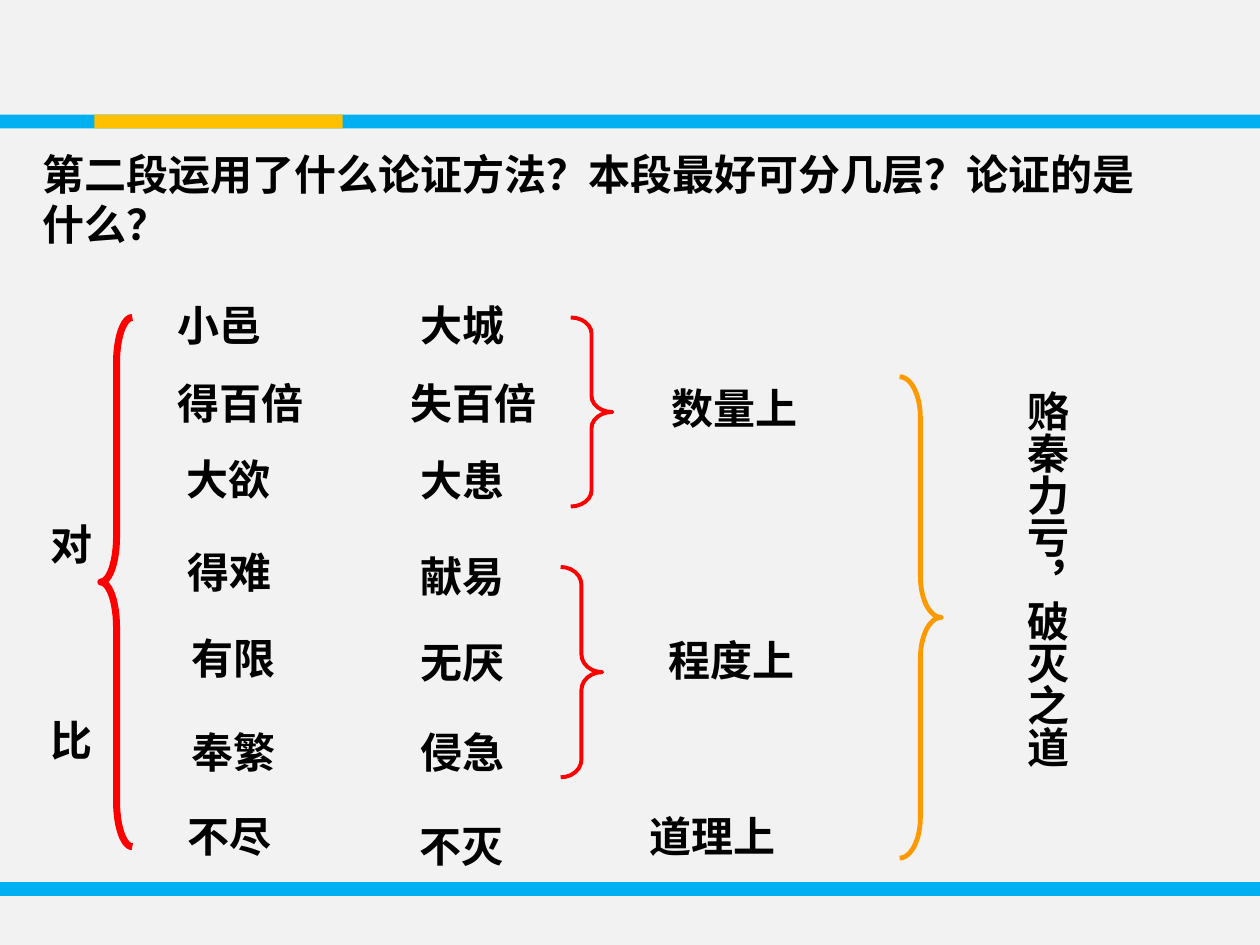
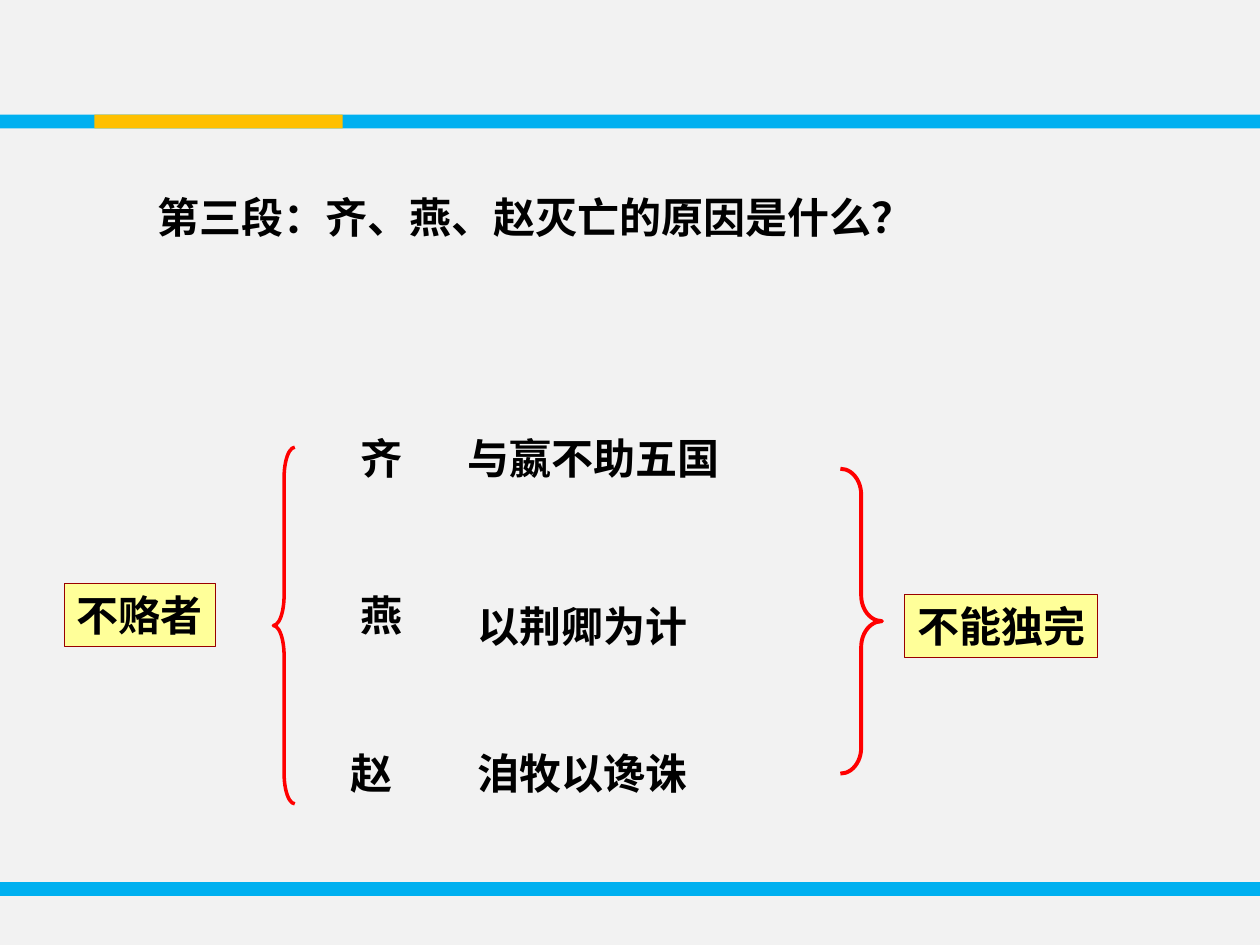
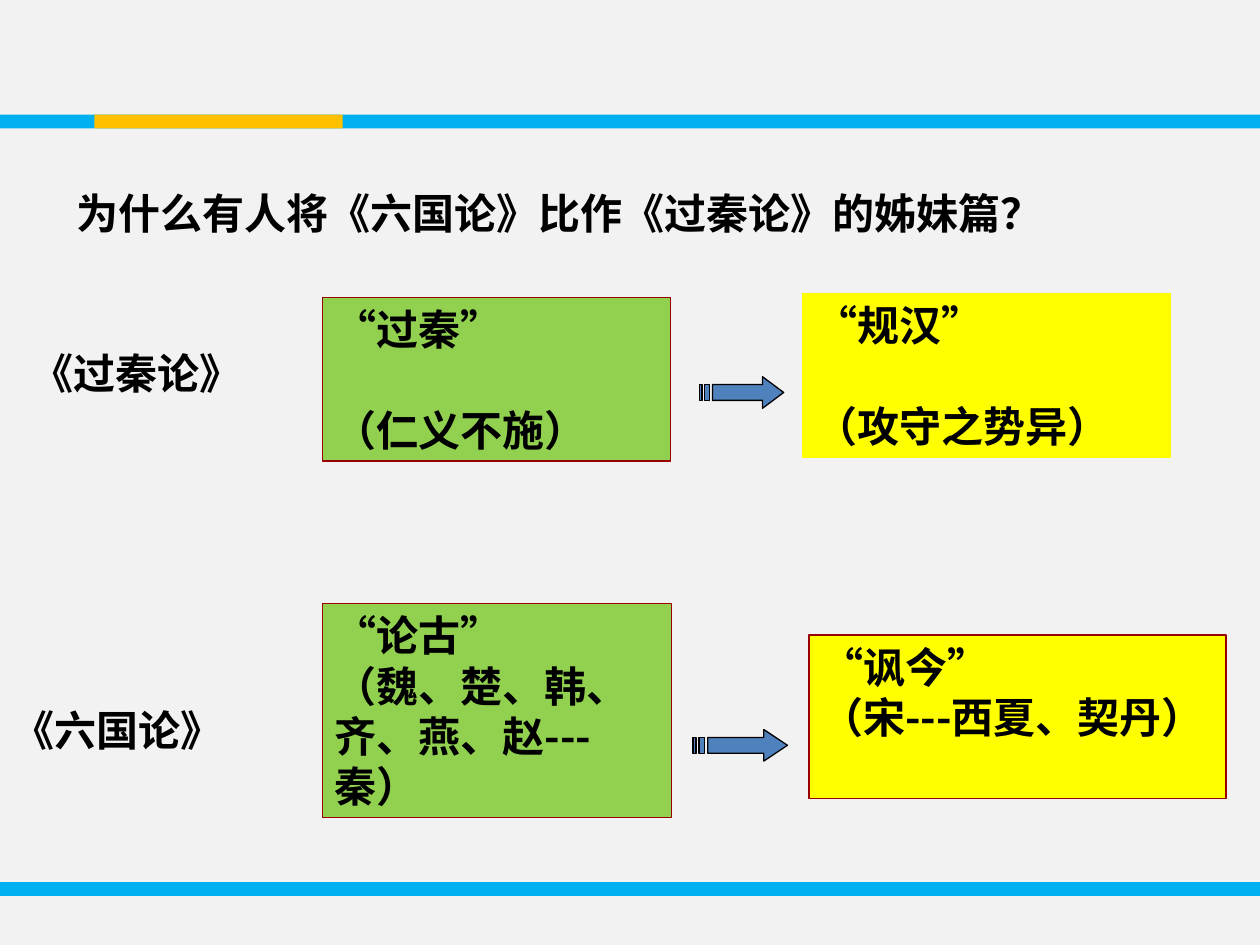
from pptx import Presentation
from pptx.dml.color import RGBColor
from pptx.enum.shapes import MSO_SHAPE
from pptx.oxml.ns import qn
from pptx.util import Inches, Pt

WIDTH, HEIGHT = 10, 7.5
FONT, SIZE = "Noto Sans CJK SC", 24
EM = SIZE / 72
LINE = 0.5
INK, PAPER, SKY, GOLD = "000000", "F2F2F2", "00B0F0", "FFC000"
RED, ORANGE, MAROON = "FF0000", "FF9900", "990000"
CREAM, GREEN, YELLOW, BLUE = "FFFF99", "92D050", "FFFF00", "4F81BD"
LEFT, RIGHT = MSO_SHAPE.LEFT_BRACE, MSO_SHAPE.RIGHT_BRACE

BANDS = [(0, 7, WIDTH, SKY), (0, 0.91, WIDTH, SKY), (0.75, 0.91, 1.97, GOLD)]
BAND_HEIGHT = 0.11

CONTRAST_QUESTION = "第二段运用了什么论证方法？本段最好可分几层？论证的是什么？"
CONTRAST_LABELS = [
    (0.3, 4.07, "对"), (0.3, 5.62, "比"),
    (1.31, 2.33, "小邑"), (3.24, 2.33, "大城"),
    (1.31, 2.95, "得百倍"), (3.16, 2.95, "失百倍"),
    (1.38, 3.55, "大欲"), (3.24, 3.56, "大患"),
    (1.39, 4.29, "得难"), (3.24, 4.32, "献易"),
    (1.42, 4.97, "有限"), (3.24, 5, "无厌"),
    (1.42, 5.72, "奉繁"), (3.24, 5.72, "侵急"),
    (1.39, 6.38, "不尽"), (3.23, 6.46, "不灭"),
    (5.23, 2.99, "数量上"), (5.21, 4.99, "程度上"), (5.06, 6.38, "道理上"),
]
CONTRAST_BRACES = [
    (LEFT, 0.8, 2.52, 0.25, 4.2, RED, 4),
    (RIGHT, 4.53, 2.52, 0.33, 1.5, RED, 2.25),
    (RIGHT, 4.45, 4.5, 0.33, 1.67, RED, 2.25),
    (RIGHT, 7.14, 2.99, 0.33, 3.82, ORANGE, 2.75),
]
CONCLUSION = "赂秦力亏，破灭之道"

STATE_LABELS = [
    (1.15, 1.47, "第三段：齐、燕、赵灭亡的原因是什么？"),
    (2.76, 3.38, "齐"), (3.61, 3.38, "与嬴不助五国"),
    (2.76, 4.63, "燕"), (3.69, 4.72, "以荆卿为计"),
    (2.68, 5.88, "赵"), (3.69, 5.88, "洎牧以谗诛"),
]
STATE_TAGS = [(0.51, 4.63, "不赂者"), (7.18, 4.72, "不能独完")]
STATE_BRACES = [
    (LEFT, 2.17, 3.55, 0.17, 2.83, RED, 2),
    (RIGHT, 6.67, 3.72, 0.33, 2.42, RED, 2.25),
]

ESSAY_LABELS = [
    (0.51, 1.44, "为什么有人将《六国论》比作《过秦论》的姊妹篇？"),
    (0.15, 2.71, "《过秦论》"), (0, 5.54, "《六国论》"),
]
ESSAY_BOXES = [
    (2.56, 2.36, 2.76, 1.3, GREEN, MAROON, ["“过秦”", "（仁义不施）"], 1),
    (6.37, 2.33, 2.92, 1.3, YELLOW, YELLOW, ["“规汉”", "（攻守之势异）"], 1),
    (2.56, 4.79, 2.77, 1.7, GREEN, MAROON, ["“论古”", "（魏、楚、韩、 齐、燕、赵---秦）"], 0),
    (6.42, 5.04, 3.31, 1.3, YELLOW, MAROON, ["“讽今”", "（宋---西夏、契丹）"], 0),
]
ARROWS = [(5.55, 2.99, 0.67, 0.25), (5.5, 5.79, 0.75, 0.25)]
ARROW_OUTLINES = [
    [(24, 0), (24, 8), (5, 8), (5, 24), (24, 24), (24, 32), (32, 16)],
    [(2, 8), (2, 24), (4, 24), (4, 8)],
    [(0, 8), (0, 24), (1, 24), (1, 8)],
]
ARROW_UNITS = 32


def color(value):
    return RGBColor.from_string(value)


def paint(sp, fill=None, line=None, weight=0.75):
    sp.shadow.inherit = False
    if fill:
        sp.fill.solid()
        sp.fill.fore_color.rgb = color(fill)
    else:
        sp.fill.background()
    if line:
        sp.line.color.rgb = color(line)
        sp.line.width = Pt(weight)
    else:
        sp.line.fill.background()


def add_preset(s, kind, x, y, w, h, **style):
    sp = s.shapes.add_shape(kind, Inches(x), Inches(y), Inches(w), Inches(h))
    paint(sp, **style)
    return sp


def write(sp, lines, wrap=True, gap=0):
    tf = sp.text_frame
    tf.word_wrap = wrap
    tf._txBody.bodyPr.set("anchor", "t")
    for i, line in enumerate(lines):
        p = tf.paragraphs[0] if i == 0 else tf.add_paragraph()
        p._p.get_or_add_pPr().set("algn", "l")
        if i:
            p.space_before = Pt(gap)
        r = p.add_run()
        r.text = line
        r.font.name = FONT
        r.font.size = Pt(SIZE)
        r.font.bold = True
        r.font.color.rgb = color(INK)
        ea = r._r.get_or_add_rPr().makeelement(qn("a:ea"), {"typeface": FONT})
        r._r.rPr.find(qn("a:latin")).addnext(ea)


def add_text(s, x, y, w, h, text, wrap=False):
    sp = s.shapes.add_textbox(Inches(x), Inches(y), Inches(w), Inches(h))
    write(sp, [text], wrap)
    return sp


def text_width(text):
    return len(text) * EM + 0.2


def add_labels(s, labels):
    for x, y, text in labels:
        add_text(s, x, y, text_width(text), LINE, text)


def add_braces(s, braces):
    for kind, x, y, w, h, line, weight in braces:
        sp = add_preset(s, kind, x, y, w, h, line=line, weight=weight)
        sp.adjustments[0] = 0.085 * h / w


def add_striped_arrow(s, x, y, w, h):
    first, *others = ARROW_OUTLINES
    scale = (Inches(w) / ARROW_UNITS, Inches(h) / ARROW_UNITS)
    fb = s.shapes.build_freeform(*first[0], scale=scale)
    fb.add_line_segments(first[1:], close=True)
    for outline in others:
        fb.move_to(*outline[0])
        fb.add_line_segments(outline[1:], close=True)
    paint(fb.convert_to_shape(Inches(x), Inches(y)), BLUE, INK)


def add_slide(prs):
    s = prs.slides.add_slide(prs.slide_layouts[6])
    for x, y, w, fill in BANDS:
        add_preset(s, MSO_SHAPE.RECTANGLE, x, y, w, BAND_HEIGHT, fill=fill)
    return s


def build_contrast(prs):
    s = add_slide(prs)
    add_text(s, 0.24, 1.13, 8.9, 0.9, CONTRAST_QUESTION, wrap=True)
    add_labels(s, CONTRAST_LABELS)
    add_braces(s, CONTRAST_BRACES)
    sp = add_text(s, 7.96, 3, 0.6, 3.1, CONCLUSION)
    tf = sp.text_frame
    tf._txBody.bodyPr.set("vert", "eaVert")
    tf.margin_left = tf.margin_right = Inches(0.05)
    tf.margin_top = tf.margin_bottom = Inches(0.1)


def build_states(prs):
    s = add_slide(prs)
    add_labels(s, STATE_LABELS)
    add_braces(s, STATE_BRACES)
    for x, y, text in STATE_TAGS:
        sp = add_preset(s, MSO_SHAPE.RECTANGLE, x, y, text_width(text), LINE,
                        fill=CREAM, line=MAROON)
        write(sp, [text], wrap=False)


def build_essays(prs):
    s = add_slide(prs)
    add_labels(s, ESSAY_LABELS)
    for x, y, w, h, fill, line, lines, skipped in ESSAY_BOXES:
        sp = add_preset(s, MSO_SHAPE.RECTANGLE, x, y, w, h, fill=fill, line=line)
        write(sp, lines, gap=skipped * 1.2 * SIZE)
    for arrow in ARROWS:
        add_striped_arrow(s, *arrow)


def main():
    prs = Presentation()
    prs.slide_width, prs.slide_height = Inches(WIDTH), Inches(HEIGHT)
    background = prs.slide_master.background.fill
    background.solid()
    background.fore_color.rgb = color(PAPER)
    build_contrast(prs)
    build_states(prs)
    build_essays(prs)
    prs.save("out.pptx")


if __name__ == "__main__":
    main()
